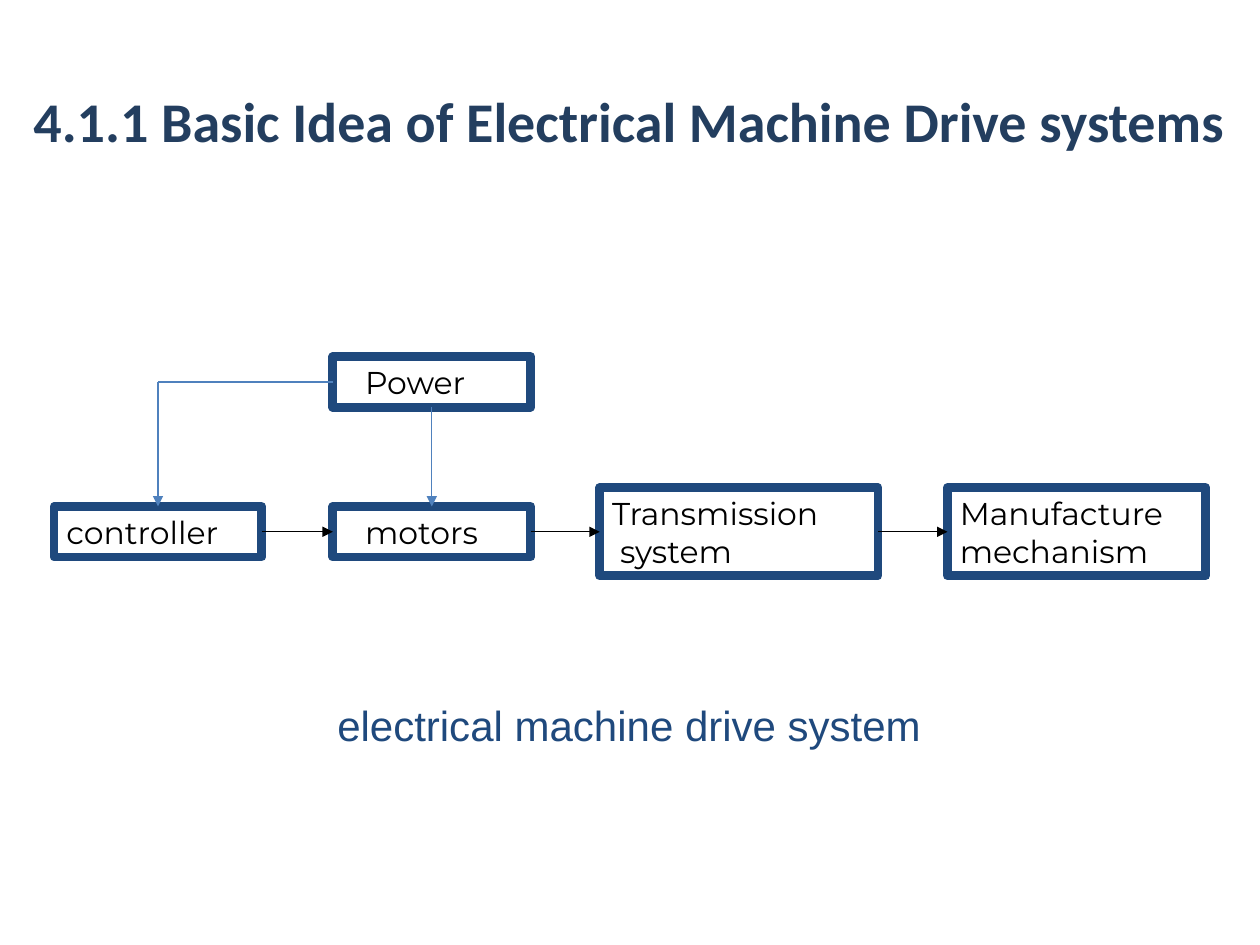
from pptx import Presentation
from pptx.dml.color import RGBColor as Rgb
from pptx.enum.shapes import MSO_CONNECTOR as Link, MSO_SHAPE as Kind
from pptx.enum.text import MSO_ANCHOR as Anchor, PP_ALIGN as Align
from pptx.oxml.ns import qn
from pptx.util import Cm, Pt
from lxml.etree import SubElement as Sub

HUES = {"title": "233E5F", "navy": "1F497D", "blue": "4F81BD", "black": "000000"}
FONTS = {
    "title": {"name": "Calibri", "size": Pt(32), "bold": True},
    "box": {"name": "Montserrat", "size": Pt(18)},
    "note": {"name": "Arial", "size": Pt(24)},
}
TOP, LEFT, BOTTOM, RIGHT = range(4)


class Sketch:
    """Draws styled boxes, text and arrows on one slide."""

    def __init__(self, deck):
        self.slide = deck.slides.add_slide(deck.slide_layouts[6])
        self.shapes = self.slide.shapes

    def hue(self, name):
        return Rgb.from_string(HUES[name])

    def label(self, shape, lines, font, hue, align=Align.LEFT, anchor=Anchor.TOP):
        frame = shape.text_frame
        form = {"word_wrap": True, "vertical_anchor": anchor}
        for key, val in form.items():
            setattr(frame, key, val)
        for num, (text, dent) in enumerate(lines):
            para = frame.add_paragraph() if num else frame.paragraphs[0]
            para.text, para.alignment = text, align
            if dent:
                para._p.get_or_add_pPr().set("marL", str(Cm(dent)))
            for key, val in FONTS[font].items():
                setattr(para.font, key, val)
            para.font.color.rgb = self.hue(hue)

    def text(self, text, place, font, hue, **form):
        shape = self.shapes.add_textbox(*map(Cm, place))
        self.label(shape, [(text, 0)], font, hue, **form)

    def box(self, lines, left, mid, wide, high):
        place = left, mid - high / 2, wide, high
        shape = self.shapes.add_shape(Kind.RECTANGLE, *map(Cm, place))
        shape.shadow.inherit = False
        shape.fill.background()
        shape.line.color.rgb = self.hue("navy")
        shape.line.width = Pt(5)
        self.label(shape, lines, "box", "black")
        return shape

    def line(self, ends, hue, start=None, stop=None, head=True):
        link = self.shapes.add_connector(Link.STRAIGHT, *ends)
        if start:
            link.begin_connect(*start)
        if stop:
            link.end_connect(*stop)
        link.line.color.rgb = self.hue(hue)
        link.line.width = Pt(0.75)
        if head:
            Sub(link.get_or_add_ln(), qn("a:tailEnd"), type="triangle")
        Sub(link._element.spPr, qn("a:effectLst"))


def main():
    deck = Presentation()
    deck.slide_width, deck.slide_height = Cm(25.4), Cm(19.05)
    art = Sketch(deck)
    art.text("4.1.1 Basic Idea of Electrical Machine Drive systems",
             (-0.43, 0.84, 26.24, 3.18), "title", "title",
             align=Align.CENTER, anchor=Anchor.MIDDLE)

    row, low, tall = 10.72, 1.02, 1.78
    power = art.box([("Power", 0.4)], 6.71, 7.7, 3.99, low)
    chain = [art.box(lines, left, row, wide, high) for lines, left, wide, high in (
        ([("controller", 0)], 1.09, 4.19, low),
        ([("motors", 0.4)], 6.71, 3.99, low),
        ([("Transmission", 0), ("system", 0.16)], 12.09, 5.61, tall),
        ([("Manufacture mechanism", 0)], 19.1, 5.21, tall),
    )]
    control, motors = chain[:2]

    bend = control.left + control.width // 2, power.top + power.height // 2
    art.line(bend * 2, "blue", start=(power, LEFT), head=False)
    art.line(bend * 2, "blue", stop=(control, TOP))
    art.line((Cm(8.89), Cm(8.41)) * 2, "black")
    art.line(bend * 2, "blue", (power, BOTTOM), (motors, TOP))
    for prev, after in zip(chain, chain[1:]):
        art.line(bend * 2, "black", (prev, RIGHT), (after, LEFT))

    art.text("electrical machine drive system", (6.55, 13.97, 12.8, 1.27), "note", "navy")
    deck.save("out.pptx")


if __name__ == "__main__":
    main()
